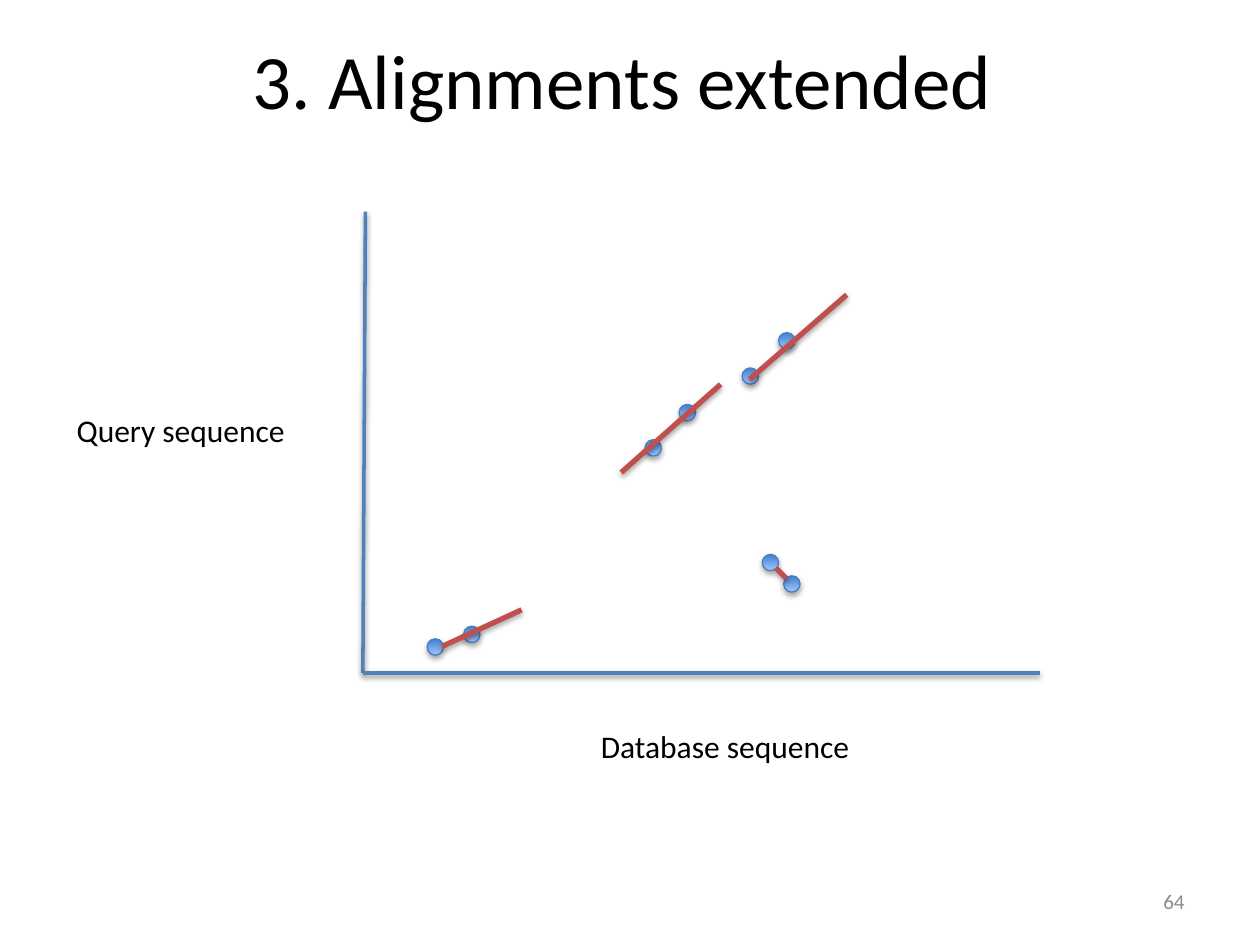
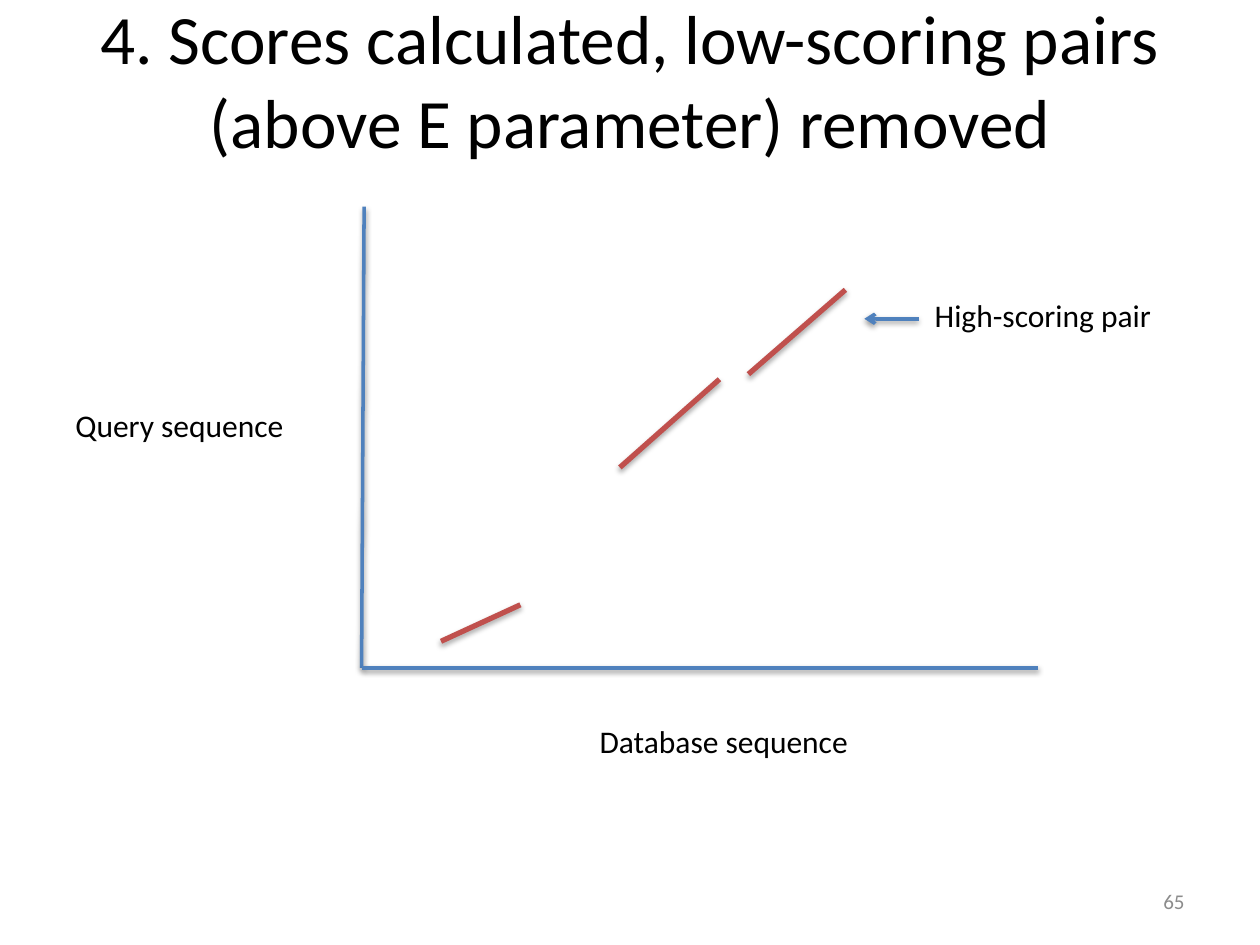
from lxml import etree
from pptx import Presentation
from pptx.dml import color
from pptx.enum import shapes, text
from pptx.oxml import ns
from pptx.util import Inches, Pt

COLORS = {
    "text": "000000",
    "number": "8C8C8C",
    "axis": "4F81BD",
    "alignment": "C0504D",
    "hit_top": "3F80CE",
    "hit_bottom": "A4C4FF",
    "hit_edge": "4B7EBC",
    "shadow": "000000",
}
RGB = {name: color.RGBColor.from_string(value) for name, value in COLORS.items()}
FONT = "Calibri"
HIT_SIZE = 0.13

# Alignments and seed hits, placed as on the first slide
ALIGNMENTS = [
    ((3.51, 5.13), (4.14, 4.84)),
    ((4.93, 3.75), (5.72, 3.05)),
    ((5.95, 3.01), (6.72, 2.34)),
]
LOW_SCORING = [((6.16, 4.51), (6.24, 4.59))]
HITS = [(5.12, 3.49), (5.39, 3.21), (5.89, 2.92), (6.05, 4.4),
        (6.22, 4.57), (3.39, 5.07), (3.68, 4.97), (6.18, 2.64)]

SLIDES = [
    {"title": "3. Alignments extended ", "size": 44, "number": "64",
     "shift": (0, 0), "hits": HITS, "alignments": ALIGNMENTS + LOW_SCORING,
     "arrows": [], "labels": []},
    {"title": "4. Scores calculated, low-scoring pairs (above E parameter) removed",
     "size": 39.6, "number": "65",
     "shift": (-0.01, -0.04), "hits": [], "alignments": ALIGNMENTS,
     "arrows": [((7.3, 2.57), (6.87, 2.57))],
     "labels": [("High-scoring pair", 7.33, 2.34, 1.94)]},
]


def add_text(page, words, area, size, tint="text", align=text.PP_ALIGN.LEFT,
             anchor=text.MSO_ANCHOR.TOP, wrap=True):
    box = page.shapes.add_textbox(*[Inches(length) for length in area])
    frame = box.text_frame
    frame.word_wrap = wrap
    frame.vertical_anchor = anchor
    para = frame.paragraphs[0]
    para.alignment = align
    span = para.add_run()
    span.text = words
    span.font.name = FONT
    span.font.size = Pt(size)
    span.font.color.rgb = RGB[tint]


def add_shadow(item, distance, opacity):
    effects = etree.SubElement(item._element.spPr, ns.qn("a:effectLst"))
    shadow = etree.SubElement(effects, ns.qn("a:outerShdw"), blurRad=str(Pt(3.1)),
                              dist=str(Pt(distance)), dir="5400000", rotWithShape="0")
    tone = etree.SubElement(shadow, ns.qn("a:srgbClr"), val=COLORS["shadow"])
    etree.SubElement(tone, ns.qn("a:alpha"), val=str(opacity * 1000))


deck = Presentation()
deck.slide_width, deck.slide_height = Inches(10), Inches(7.5)

for content in SLIDES:
    page = deck.slides.add_slide(deck.slide_layouts[6])
    dx, dy = content["shift"]

    # Title and slide number
    add_text(page, content["title"], (0.51 + dx, 0, 9, 1.25), content["size"],
             align=text.PP_ALIGN.CENTER, anchor=text.MSO_ANCHOR.MIDDLE)
    add_text(page, content["number"], (7.17, 6.95, 2.33, 0.4), 12, "number",
             text.PP_ALIGN.RIGHT, text.MSO_ANCHOR.MIDDLE)

    # Seed hits
    for x, y in content["hits"]:
        hit = page.shapes.add_shape(shapes.MSO_SHAPE.OVAL, Inches(x + dx), Inches(y + dy),
                                    Inches(HIT_SIZE), Inches(HIT_SIZE))
        hit.fill.gradient()
        hit.fill.gradient_angle = 270
        for stop, name in zip(hit.fill.gradient_stops, ("hit_top", "hit_bottom")):
            stop.color.rgb = RGB[name]
        hit.line.color.rgb = RGB["hit_edge"]
        hit.line.width = Pt(0.75)
        add_shadow(hit, 1.8, 35)

    # Axes, alignments and pointer arrow
    origin = (2.88, 5.34)
    axes = [((2.9, 1.68), origin), (origin, (8.25, 5.34))]
    groups = [(axes, "axis", 2, 1.6, 38, False),
              (content["alignments"], "alignment", 3, 1.8, 35, False),
              (content["arrows"], "axis", 2, 1.6, 38, True)]
    for segments, tint, width, distance, opacity, has_head in groups:
        for (x1, y1), (x2, y2) in segments:
            line = page.shapes.add_connector(
                shapes.MSO_CONNECTOR.STRAIGHT, Inches(x1 + dx), Inches(y1 + dy),
                Inches(x2 + dx), Inches(y2 + dy))
            line.line.color.rgb = RGB[tint]
            line.line.width = Pt(width)
            if has_head:
                outline = line._element.spPr.find(ns.qn("a:ln"))
                etree.SubElement(outline, ns.qn("a:tailEnd"), type="arrow")
            add_shadow(line, distance, opacity)

    # Labels
    labels = [("Query sequence", 0.51, 3.21, 1.87),
              ("Database sequence", 4.67, 5.72, 2.19)]
    for words, x, y, width in labels + content["labels"]:
        add_text(page, words, (x + dx, y + dy, width, 0.4), 18, wrap=False)

deck.save("out.pptx")
